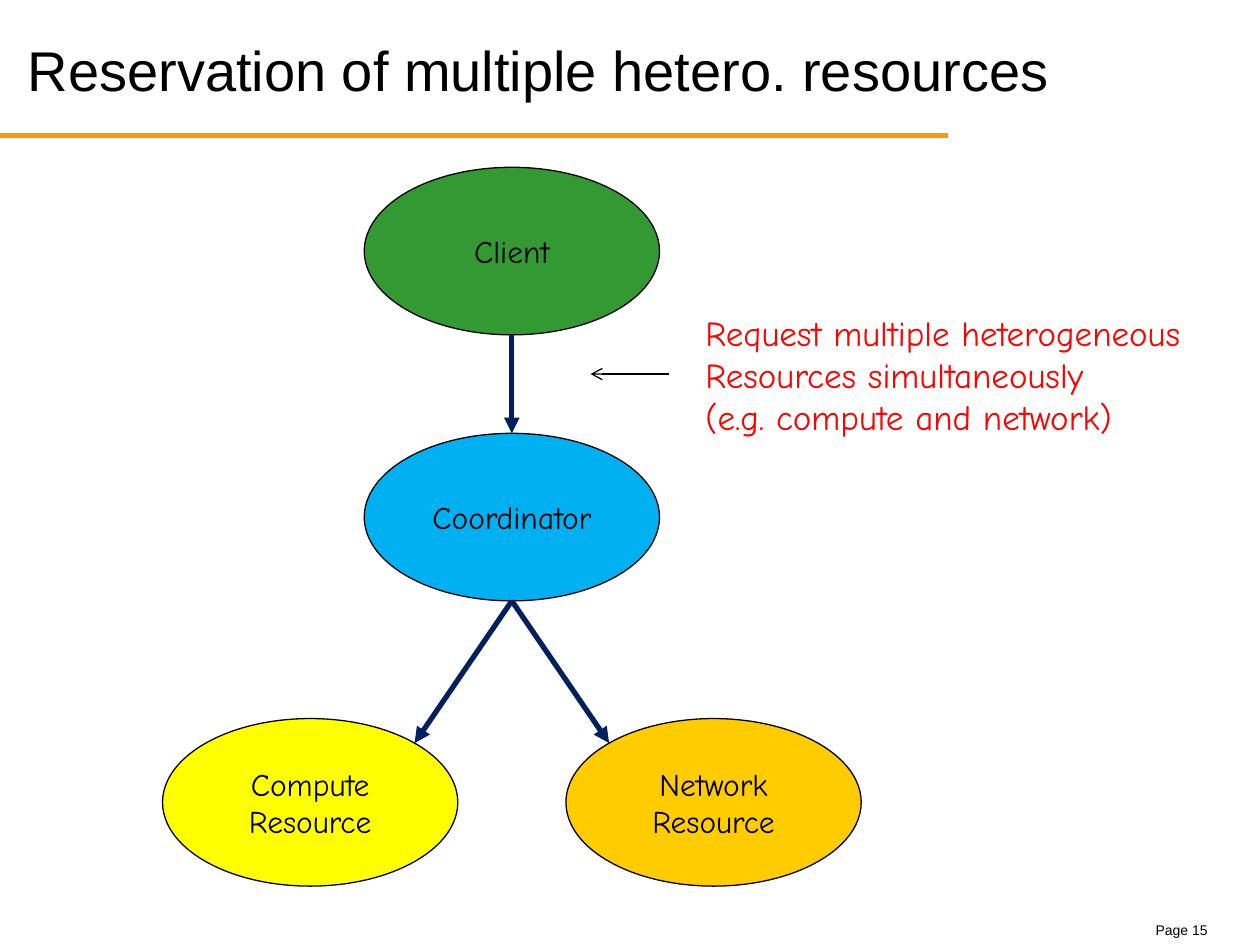
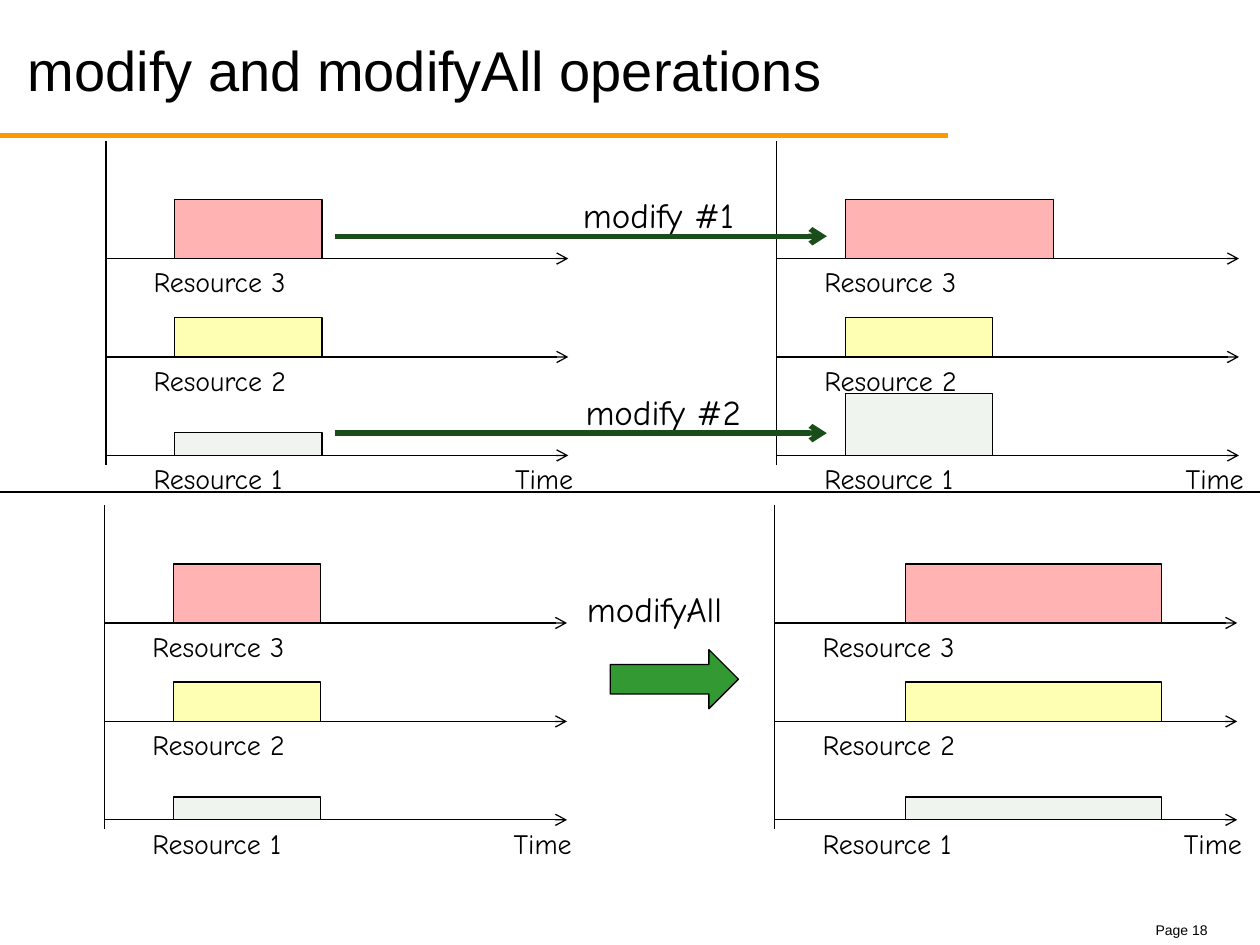
import math
from dataclasses import dataclass

import pptx
import pptx.dml.color
import pptx.enum.shapes
import pptx.enum.text
import pptx.oxml
import pptx.oxml.ns
import pptx.util
from pptx.util import Pt


@dataclass(frozen=True)
class Theme:
    black: str = "000000"
    orange: str = "FF9900"
    green: str = "339933"
    dark_green: str = "194D19"
    navy: str = "002060"
    red: str = "FF0000"
    title_font: str = "Arial"
    body_font: str = "Comic Neue"
    title_size: float = 32
    note_size: float = 20
    node_size: float = 18
    axis_size: float = 16
    footer_size: float = 8
    thin: float = 0.75
    thick: float = 3


theme = Theme()

SHAPES = pptx.enum.shapes.MSO_SHAPE
ALIGN = pptx.enum.text.PP_ALIGN
ANCHOR = pptx.enum.text.MSO_ANCHOR

NODE_SIZE = (168.75, 95.75)
NODES = {
    "client": ("Client", theme.green, 292.5, 143.5),
    "coordinator": ("Coordinator", "00B0F0", 292.5, 295.5),
    "compute": ("Compute\nResource", "FFFF00", 177.25, 458.5),
    "network": ("Network\nResource", "FFCC00", 407.75, 458.5),
}
REQUEST_NOTE = ("Request multiple heterogeneous\nResources simultaneously\n"
                "(e.g. compute and network)")

RESOURCES = [
    ("Resource 3", "FFB3B3"),
    ("Resource 2", "FFFFB3"),
    ("Resource 1", "EFF4EF"),
]
HEIGHTS = (33.75, 22.5, 13)
PANELS = [
    (60.5, 80.5, 39.25, (84.25, 84.25, 84.25), HEIGHTS),
    (443.75, 80.5, 39.25, (119, 84.25, 84.25), (33.75, 22.5, 35.25)),
    (59.75, 288.75, 39.25, (84.25, 84.25, 84.25), HEIGHTS),
    (442.75, 288.75, 74.75, (146.25, 146.25, 146.25), HEIGHTS),
]
OPERATIONS = [
    ("modify #1", 326, 106.75),
    ("modify #2", 327.5, 219.5),
    ("modifyAll", 328.25, 332),
]
MODIFY_ARROW_LEVELS = (135, 247.5)

AXIS_LENGTH = 264.25
AXIS_HEIGHT = 185
FIRST_BASELINE = 67.25
BASELINE_STEP = 56.25
RESOURCE_LABEL_WIDTH = 94
TIME_LABEL_WIDTH = 50
OPERATION_LABEL_WIDTH = 112


def color(value):
    return pptx.dml.color.RGBColor.from_string(value)


def write(frame, text, size, font=theme.body_font, ink=theme.black, align=ALIGN.LEFT):
    frame.text = text
    for paragraph in frame.paragraphs:
        paragraph.alignment = align
        paragraph.font.size = Pt(size)
        paragraph.font.name = font
        paragraph.font.color.rgb = color(ink)


def add_label(slide, text, left, top, width, height, size, **style):
    frame = slide.shapes.add_textbox(Pt(left), Pt(top), Pt(width), Pt(height)).text_frame
    frame.word_wrap = False
    frame.auto_size = pptx.enum.text.MSO_AUTO_SIZE.SHAPE_TO_FIT_TEXT
    write(frame, text, size, **style)


def add_outlined(slide, kind, left, top, width, height, fill):
    shape = slide.shapes.add_shape(kind, Pt(left), Pt(top), Pt(width), Pt(height))
    shape.shadow.inherit = False
    shape.fill.solid()
    shape.fill.fore_color.rgb = color(fill)
    shape.line.color.rgb = color(theme.black)
    shape.line.width = Pt(theme.thin)
    return shape


def add_line(slide, start, end, ink=theme.black, width=theme.thin, head=None):
    connector = slide.shapes.add_connector(
        pptx.enum.shapes.MSO_CONNECTOR.STRAIGHT, *(Pt(value) for value in (*start, *end)))
    connector.line.color.rgb = color(ink)
    connector.line.width = Pt(width)
    properties = connector._element.spPr
    if head:
        tail = pptx.oxml.parse_xml(f'<a:tailEnd {pptx.oxml.ns.nsdecls("a")} type="{head}"/>')
        connector.line._get_or_add_ln().append(tail)
    properties.append(pptx.oxml.parse_xml(f'<a:effectLst {pptx.oxml.ns.nsdecls("a")}/>'))
    return connector


def add_base_slide(presentation, title, page):
    slide = presentation.slides.add_slide(presentation.slide_layouts[6])
    add_label(slide, f"Page {page}", 653.25, 523.25, 72, 17.25, theme.footer_size,
              font=theme.title_font)
    add_line(slide, (0, 77.25), (541.5, 77.25), theme.orange, theme.thick)
    frame = slide.shapes.add_textbox(Pt(8.75), Pt(18.75), Pt(702.5), Pt(42)).text_frame
    frame.word_wrap = True
    frame.vertical_anchor = ANCHOR.MIDDLE
    frame.margin_top = frame.margin_bottom = 0
    write(frame, title, theme.title_size, font=theme.title_font)
    return slide


def build_reservation(presentation):
    slide = add_base_slide(presentation, "Reservation of multiple hetero. resources", 15)
    width, height = NODE_SIZE
    ellipses = {}
    for name, (text, fill, center_x, center_y) in NODES.items():
        ellipse = add_outlined(slide, SHAPES.OVAL, center_x - width / 2,
                               center_y - height / 2, width, height, fill)
        ellipse.text_frame.vertical_anchor = ANCHOR.MIDDLE
        write(ellipse.text_frame, text, theme.node_size, align=ALIGN.CENTER)
        ellipses[name] = ellipse

    def rim(name, degrees):
        center_x, center_y = NODES[name][2:]
        angle = math.radians(degrees)
        return (center_x + width / 2 * math.cos(angle),
                center_y - height / 2 * math.sin(angle))

    arrow = dict(ink=theme.navy, width=theme.thick, head="triangle")
    request = add_line(slide, rim("client", 270), rim("coordinator", 90), **arrow)
    request.end_connect(ellipses["coordinator"], 0)
    for name, degrees in (("compute", 45), ("network", 135)):
        add_line(slide, rim("coordinator", 270), rim(name, degrees), **arrow)
    add_line(slide, (382.5, 213.75), (337.5, 213.75), head="arrow")
    add_label(slide, REQUEST_NOTE, 396, 174.5, 290, 79.25, theme.note_size, ink=theme.red)


def add_panel(slide, left, top, bar_offset, widths, heights):
    add_line(slide, (left, top), (left, top + AXIS_HEIGHT))
    for row, (name, fill) in enumerate(RESOURCES):
        baseline = top + FIRST_BASELINE + row * BASELINE_STEP
        add_line(slide, (left, baseline), (left + AXIS_LENGTH, baseline), head="arrow")
        add_label(slide, name, left + 20.25, baseline, RESOURCE_LABEL_WIDTH, 26.75,
                  theme.axis_size)
        add_outlined(slide, SHAPES.RECTANGLE, left + bar_offset, baseline - heights[row],
                     widths[row], heights[row], fill)
    add_label(slide, "Time", left + 226.75, baseline, TIME_LABEL_WIDTH, 26.75,
              theme.axis_size)


def build_operations(presentation):
    slide = add_base_slide(presentation, "modify and modifyAll operations", 18)
    for panel in PANELS:
        add_panel(slide, *panel)
    add_line(slide, (0, 281.25), (720, 281.25))
    add_outlined(slide, SHAPES.RIGHT_ARROW, 348.75, 371.25, 73.25, 33.75, theme.green)
    for text, left, top in OPERATIONS:
        add_label(slide, text, left, top, OPERATION_LABEL_WIDTH, 31.5, theme.note_size)
    for level in MODIFY_ARROW_LEVELS:
        add_line(slide, (191.25, level), (472.5, level), theme.dark_green, theme.thick, "arrow")


def main():
    presentation = pptx.Presentation()
    presentation.slide_width = Pt(720)
    presentation.slide_height = Pt(540)
    build_reservation(presentation)
    build_operations(presentation)
    presentation.save("out.pptx")


if __name__ == "__main__":
    main()
